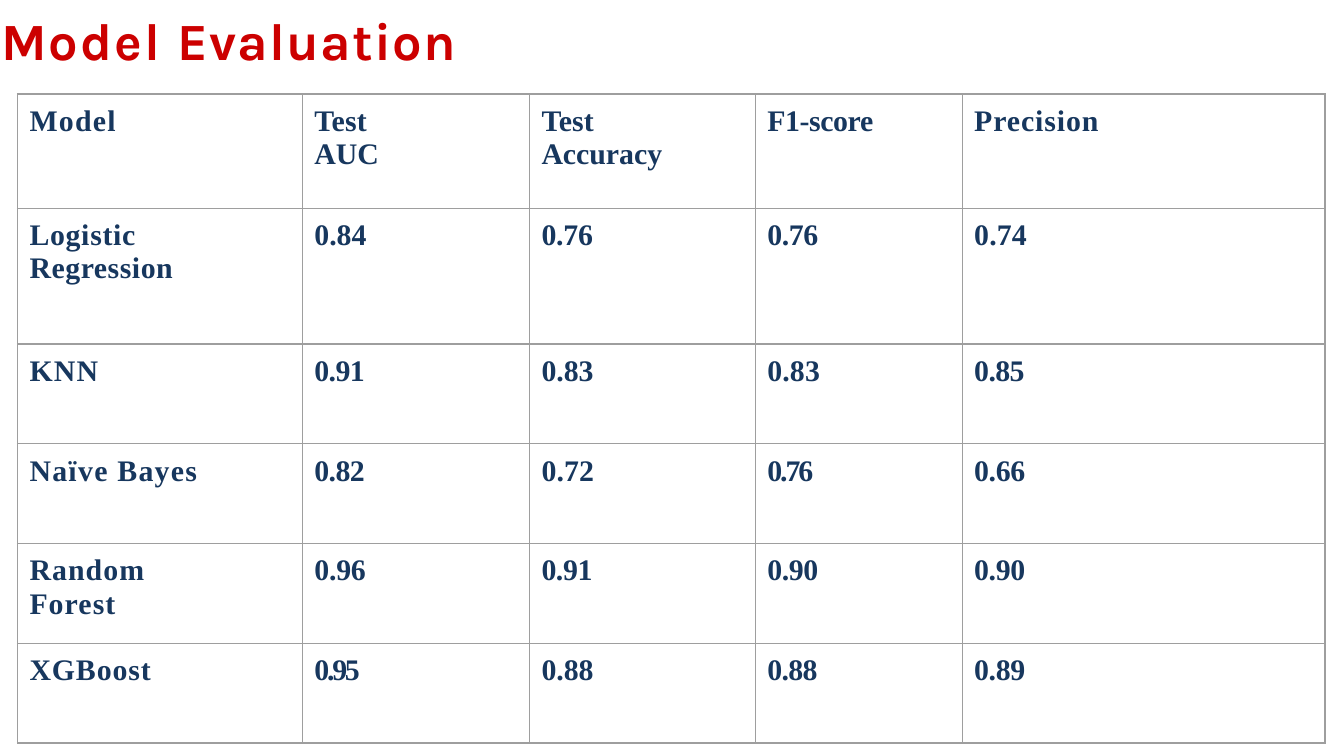
"""Build a slide with a table of model evaluation scores."""
from lxml import etree
from pptx import Presentation
from pptx.dml.color import RGBColor
from pptx.enum.text import MSO_ANCHOR, MSO_AUTO_SIZE, PP_ALIGN
from pptx.oxml.ns import qn
from pptx.util import Inches, Pt

TOP = MSO_ANCHOR.TOP
GROW = MSO_AUTO_SIZE.SHAPE_TO_FIT_TEXT
LEFT = PP_ALIGN.LEFT
TITLE_ONLY = 5

COLUMN_WIDTHS = [2.12, 1.69, 1.68, 1.54, 2.7]
RIGHT_MARGINS = [0.6, 0.8, 0.5, 0, 0]
TABLE_HEIGHT = 4.83
TALL_ROWS = [0.85, 1.01]
ROW_HEIGHTS = TALL_ROWS + [(TABLE_HEIGHT - sum(TALL_ROWS)) / 4] * 4

HEADINGS = [
    [("Model", 0.7)],
    [("Test ", 0.1), ("A", -0.3), ("UC", 0)],
    [("Test ", 0.1), ("Accuracy", 0)],
    [("F1-score", -0.2)],
    [("Precision", 0.5)],
]
MODELS = [
    [("Logistic ", 0.4), ("Regression", 0.3)],
    [("KNN", 0.7)],
    [("Naïve Bayes", 0.7)],
    [("Random Forest", 0.6)],
    [("XGBoost", 0.5)],
]
SCORES = [
    [("0.84", 0), ("0.76", -0.1), ("0.76", -0.2), ("0.74", 0.1)],
    [("0.91", -0.3), ("0.83", 0), ("0.83", 0.1), ("0.85", -0.3)],
    [("0.82", -0.3), ("0.72", 0.1), ("0.76", -1.1), ("0.66", -0.2)],
    [("0.96", -0.1), ("0.91", -0.2), ("0.90", -0.2), ("0.90", -0.2)],
    [("0.95", -1.2), ("0.88", 0), ("0.88", -0.3), ("0.89", -0.2)],
]


def color(value):
    return RGBColor.from_string(value)


class SlideBuilder:
    """Hold the style and the current slide."""

    title_font, title_size, title_color = "Karla", 28, "CC0000"
    body_font, body_size, body_color = "Times New Roman", 16, "17375E"
    border_color, border_width = "9E9E9E", 0.75

    def __init__(self, page):
        self.page = page

    def spans(self, para, parts, font, size, ink):
        para.alignment = LEFT
        for text, spacing in parts:
            span = para.add_run()
            span.text = text
            span.font.name = font
            span.font.size = Pt(size)
            span.font.bold = True
            span.font.color.rgb = color(ink)
            span._r.get_or_add_rPr().set("spc", str(round(spacing * 100)))

    def title(self, parts, left, top, width, height):
        box = self.page.shapes.title
        box.left, box.top = Inches(left), Inches(top)
        box.width, box.height = Inches(width), Inches(height)
        frame = box.text_frame
        frame.margin_left = frame.margin_top = Inches(0.01)
        frame.margin_right = frame.margin_bottom = 0
        frame.vertical_anchor = TOP
        frame.auto_size = GROW
        para = frame.paragraphs[0]
        para.space_before = Pt(1)
        self.spans(para, parts, self.title_font, self.title_size, self.title_color)

    def borders(self, cell):
        properties = cell._tc.get_or_add_tcPr()
        for side in ("a:lnL", "a:lnR", "a:lnT", "a:lnB"):
            line = etree.SubElement(properties, qn(side), w=str(Pt(self.border_width)))
            fill = etree.SubElement(line, qn("a:solidFill"))
            etree.SubElement(fill, qn("a:srgbClr"), val=self.border_color)

    def cell(self, cell, parts, right_margin):
        self.borders(cell)
        cell.fill.background()
        cell.margin_left, cell.margin_top = Inches(0.09), Inches(0.08)
        cell.margin_right, cell.margin_bottom = Inches(right_margin), 0
        cell.vertical_anchor = TOP
        para = cell.text_frame.paragraphs[0]
        para.space_before = Pt(6)
        self.spans(para, parts, self.body_font, self.body_size, self.body_color)

    def table(self, rows, left, top):
        table = self.page.shapes.add_table(
            len(rows), len(COLUMN_WIDTHS), Inches(left), Inches(top),
            Inches(sum(COLUMN_WIDTHS)), Inches(TABLE_HEIGHT),
        ).table
        table.first_row = table.horz_banding = False
        for column, width in zip(table.columns, COLUMN_WIDTHS):
            column.width = Inches(width)
        for row, height, contents in zip(table.rows, ROW_HEIGHTS, rows):
            row.height = Inches(height)
            for cell, parts, margin in zip(row.cells, contents, RIGHT_MARGINS):
                self.cell(cell, parts, margin)


def main():
    deck = Presentation()
    deck.slide_width = Inches(10)
    deck.slide_height = deck.slide_width * 9 // 16
    builder = SlideBuilder(deck.slides.add_slide(deck.slide_layouts[TITLE_ONLY]))
    builder.title([("Model ", 1.1), ("Evaluation", 0.7)], 0, 0.05, 3.55, 0.49)
    results = [
        [model] + [[score] for score in scores]
        for model, scores in zip(MODELS, SCORES)
    ]
    builder.table([HEADINGS] + results, 0.13, 0.7)
    deck.save("out.pptx")


if __name__ == "__main__":
    main()
